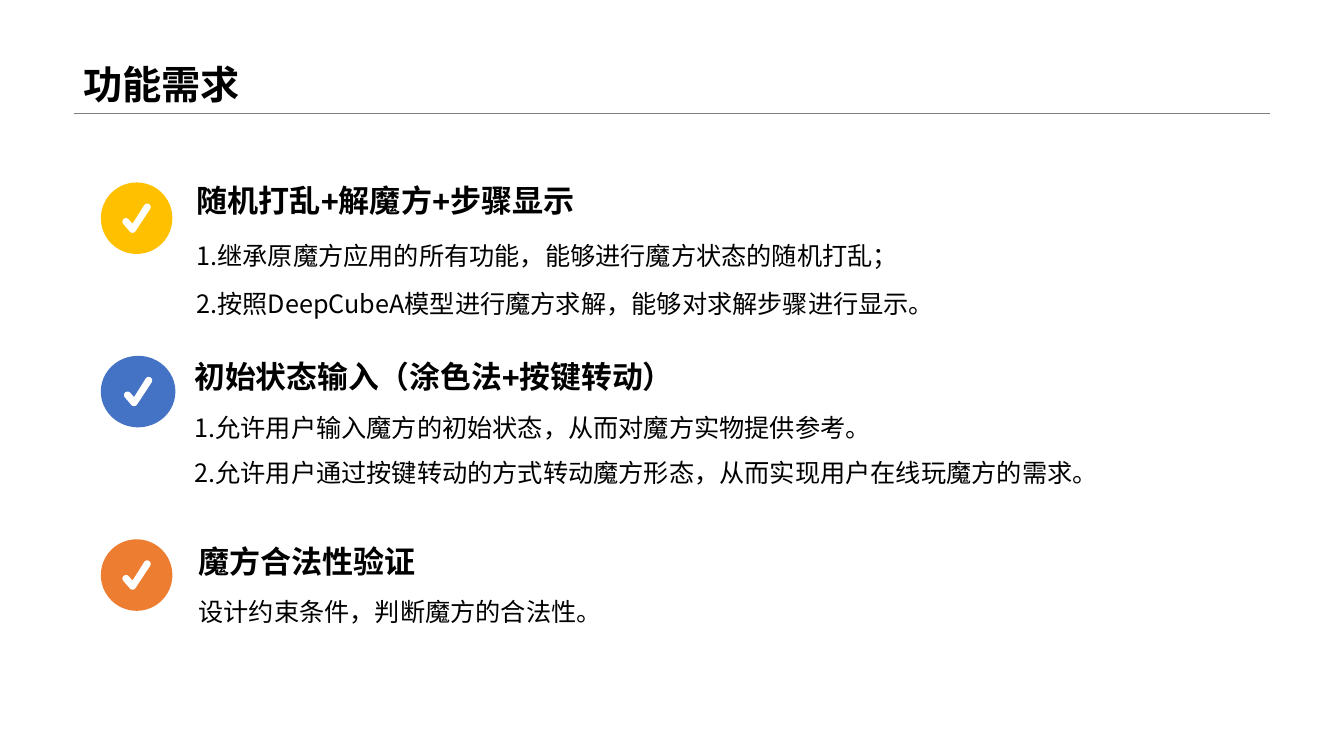
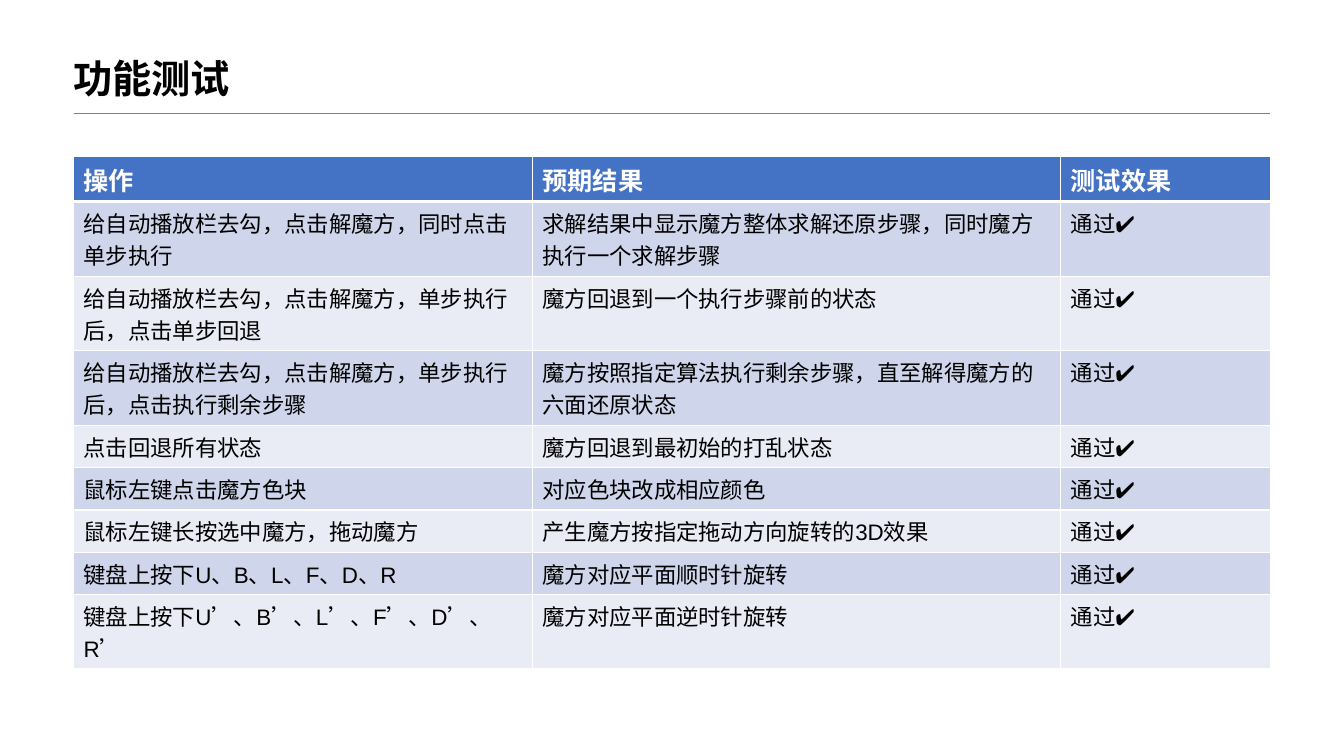
from dataclasses import dataclass
from math import cos, radians, sin

from lxml import etree
from pptx import Presentation
from pptx.dml.color import RGBColor
from pptx.enum.lang import MSO_LANGUAGE_ID
from pptx.enum.shapes import MSO_CONNECTOR, MSO_SHAPE
from pptx.enum.text import MSO_ANCHOR
from pptx.oxml.ns import qn
from pptx.util import Inches, Pt

CHINESE = MSO_LANGUAGE_ID.SIMPLIFIED_CHINESE
STRAIGHT = MSO_CONNECTOR.STRAIGHT
OVAL = MSO_SHAPE.OVAL
TOP = MSO_ANCHOR.TOP
BOTTOM = MSO_ANCHOR.BOTTOM


@dataclass(frozen=True)
class Theme:
    latin: str = "Arial"
    chinese: str = "Noto Sans CJK SC"
    text: str = "000000"
    white: str = "FFFFFF"
    rule: str = "808080"
    blue: str = "4472C4"
    orange: str = "ED7D31"
    gold: str = "FFC000"
    bands: tuple = ("CFD5EA", "E9EBF5")
    title_size: float = 28
    heading_size: float = 22.2
    small_heading_size: float = 22
    body_size: float = 18
    cell_size: float = 16


THEME = Theme()
LEFT, RIGHT, RULE_TOP = 0.73, 12.6, 1.12
CHECK_RADIUS = 0.035
CHECK_INNER_CORNER = (0.1, 0.2)
CHECK_LONG_END = (0.245, 0.035)
CHECK_SHORT_END = (0.035, 0.18)
CHECK_ELBOW = (0.1, 0.255)

REQUIREMENTS = [
    dict(
        heading="随机打乱+解魔方+步骤显示",
        lines=["1.继承原魔方应用的所有功能，能够进行魔方状态的随机打乱；",
               "2.按照DeepCubeA模型进行魔方求解，能够对求解步骤进行显示。"],
        color=THEME.gold, icon=(1, 1.81, 0.71, 0.71),
        heading_box=(1.85, 1.77, 5.2, 0.45), body_box=(1.85, 2.15, 9.45, 1.09),
        heading_size=THEME.heading_size, spacing=1.6, body_font=THEME.chinese,
    ),
    dict(
        heading="初始状态输入（涂色法+按键转动）",
        lines=["1.允许用户输入魔方的初始状态，从而对魔方实物提供参考。",
               "2.允许用户通过按键转动的方式转动魔方形态，从而实现用户在线玩魔方的需求。"],
        color=THEME.blue, icon=(1, 3.53, 0.74, 0.71),
        heading_box=(1.83, 3.44, 5.2, 0.52), body_box=(1.83, 3.89, 8.95, 1.08),
        heading_size=THEME.small_heading_size, spacing=1.5, body_font=THEME.chinese,
    ),
    dict(
        heading="魔方合法性验证",
        lines=["设计约束条件，判断魔方的合法性。"],
        color=THEME.orange, icon=(1, 5.35, 0.71, 0.71),
        heading_box=(1.87, 5.35, 5.2, 0.45), body_box=(1.87, 5.81, 5.2, 0.45),
        heading_size=THEME.heading_size, spacing=1.2, body_font=THEME.latin,
    ),
]

TEST_HEADER = ("操作", "预期结果", "测试效果")
TEST_RESULT = "通过✔"
TESTS = [
    ("给自动播放栏去勾，点击解魔方，同时点击单步执行",
     "求解结果中显示魔方整体求解还原步骤，同时魔方执行一个求解步骤"),
    ("给自动播放栏去勾，点击解魔方，单步执行后，点击单步回退",
     "魔方回退到一个执行步骤前的状态"),
    ("给自动播放栏去勾，点击解魔方，单步执行后，点击执行剩余步骤",
     "魔方按照指定算法执行剩余步骤，直至解得魔方的六面还原状态"),
    ("点击回退所有状态", "魔方回退到最初始的打乱状态"),
    ("鼠标左键点击魔方色块", "对应色块改成相应颜色"),
    ("鼠标左键长按选中魔方，拖动魔方", "产生魔方按指定拖动方向旋转的3D效果"),
    ("键盘上按下U、B、L、F、D、R", "魔方对应平面顺时针旋转"),
    ("键盘上按下U’、B’、L’、F’、D’、R’", "魔方对应平面逆时针旋转"),
]
COLUMN_WIDTHS = (4.55, 5.24, 2.08)
HEADER_HEIGHT, ONE_LINE, TWO_LINES = 0.45, 0.42, 0.74
ROW_HEIGHTS = (HEADER_HEIGHT, *[TWO_LINES] * 3, *[ONE_LINE] * 4, TWO_LINES)


def write_text(frame, lines, size, color=THEME.text, bold=False,
               font=THEME.latin, spacing=None):
    for index, line in enumerate(lines):
        paragraph = frame.add_paragraph() if index else frame.paragraphs[0]
        paragraph.line_spacing = spacing
        run = paragraph.add_run()
        run.text = line
        run.font.size = Pt(size)
        run.font.bold = bold
        run.font.name = font
        run.font.language_id = CHINESE
        run.font.color.rgb = RGBColor.from_string(color)
        east_asian = etree.SubElement(run.font._element, qn("a:ea"))
        east_asian.set("typeface", THEME.chinese)


def add_text(slide, box, lines, anchor=TOP, **text_format):
    frame = slide.shapes.add_textbox(*map(Inches, box)).text_frame
    frame.word_wrap = True
    frame.vertical_anchor = anchor
    write_text(frame, lines, **text_format)


def paint(shape, color):
    shape.shadow.inherit = False
    shape.fill.solid()
    shape.fill.fore_color.rgb = RGBColor.from_string(color)
    shape.line.fill.background()


def arc(center, start, end, steps=12):
    angles = [radians(start + (end - start) * step / steps)
              for step in range(steps + 1)]
    return [(center[0] + CHECK_RADIUS * cos(angle),
             center[1] + CHECK_RADIUS * sin(angle)) for angle in angles]


def add_check_icon(slide, box, color):
    left, top, width, height = box
    group = slide.shapes.add_group_shape()
    paint(group.shapes.add_shape(OVAL, *map(Inches, box)), color)
    outline = (arc(CHECK_LONG_END, 35, -145) + [CHECK_INNER_CORNER]
               + arc(CHECK_SHORT_END, -39, -219) + arc(CHECK_ELBOW, 141, 35))
    check_left = left + (width - 0.28) / 2
    check_top = top + (height - 0.29) / 2
    points = [(Inches(check_left + x), Inches(check_top + y)) for x, y in outline]
    builder = group.shapes.build_freeform(*points[0])
    builder.add_line_segments(points[1:], close=True)
    paint(builder.convert_to_shape(), THEME.white)


def add_titled_slide(presentation, title, title_box):
    slide = presentation.slides.add_slide(presentation.slide_layouts[6])
    rule = slide.shapes.add_connector(
        STRAIGHT, *map(Inches, (LEFT, RULE_TOP, RIGHT, RULE_TOP)))
    rule.line.width = Pt(0.25)
    rule.line.color.rgb = RGBColor.from_string(THEME.rule)
    etree.SubElement(rule._element.spPr, qn("a:effectLst"))
    add_text(slide, title_box, [title], anchor=BOTTOM,
             size=THEME.title_size, bold=True, spacing=0.9)
    return slide


def add_requirement(slide, requirement):
    add_check_icon(slide, requirement["icon"], requirement["color"])
    add_text(slide, requirement["heading_box"], [requirement["heading"]],
             anchor=BOTTOM, size=requirement["heading_size"], bold=True)
    add_text(slide, requirement["body_box"], requirement["lines"],
             size=THEME.body_size, font=requirement["body_font"],
             spacing=requirement["spacing"])


def set_borders(cell, top, bottom):
    properties = cell._tc.get_or_add_tcPr()
    for side, width in (("L", 1), ("R", 1), ("T", top), ("B", bottom)):
        border = etree.SubElement(properties, qn(f"a:ln{side}"), w=str(Pt(width)))
        fill = etree.SubElement(border, qn("a:solidFill"))
        etree.SubElement(fill, qn("a:srgbClr"), val=THEME.white)


def format_cell(cell, text, row):
    is_header = row == 0
    set_borders(cell, top=3 if row == 1 else 1, bottom=3 if is_header else 1)
    cell.fill.solid()
    fill = THEME.blue if is_header else THEME.bands[(row - 1) % 2]
    cell.fill.fore_color.rgb = RGBColor.from_string(fill)
    write_text(cell.text_frame, [text],
               size=THEME.body_size if is_header else THEME.cell_size,
               color=THEME.white if is_header else THEME.text, bold=is_header)


def add_test_table(slide):
    rows = [TEST_HEADER] + [(*test, TEST_RESULT) for test in TESTS]
    table = slide.shapes.add_table(
        len(rows), len(COLUMN_WIDTHS), Inches(LEFT), Inches(1.55),
        Inches(sum(COLUMN_WIDTHS)), Inches(sum(ROW_HEIGHTS))).table
    for column, width in zip(table.columns, COLUMN_WIDTHS):
        column.width = Inches(width)
    for row, (values, height) in enumerate(zip(rows, ROW_HEIGHTS)):
        table.rows[row].height = Inches(height)
        for column, value in enumerate(values):
            format_cell(table.cell(row, column), value, row)


def main():
    presentation = Presentation()
    presentation.slide_width = Inches(13.33)
    presentation.slide_height = Inches(7.5)

    requirements_slide = add_titled_slide(
        presentation, "功能需求", (LEFT, 0, RIGHT - LEFT, RULE_TOP))
    for requirement in REQUIREMENTS:
        add_requirement(requirements_slide, requirement)

    tests_slide = add_titled_slide(
        presentation, "功能测试", (0.63, 0.38, 11.75, 0.68))
    add_test_table(tests_slide)

    presentation.save("out.pptx")


if __name__ == "__main__":
    main()
